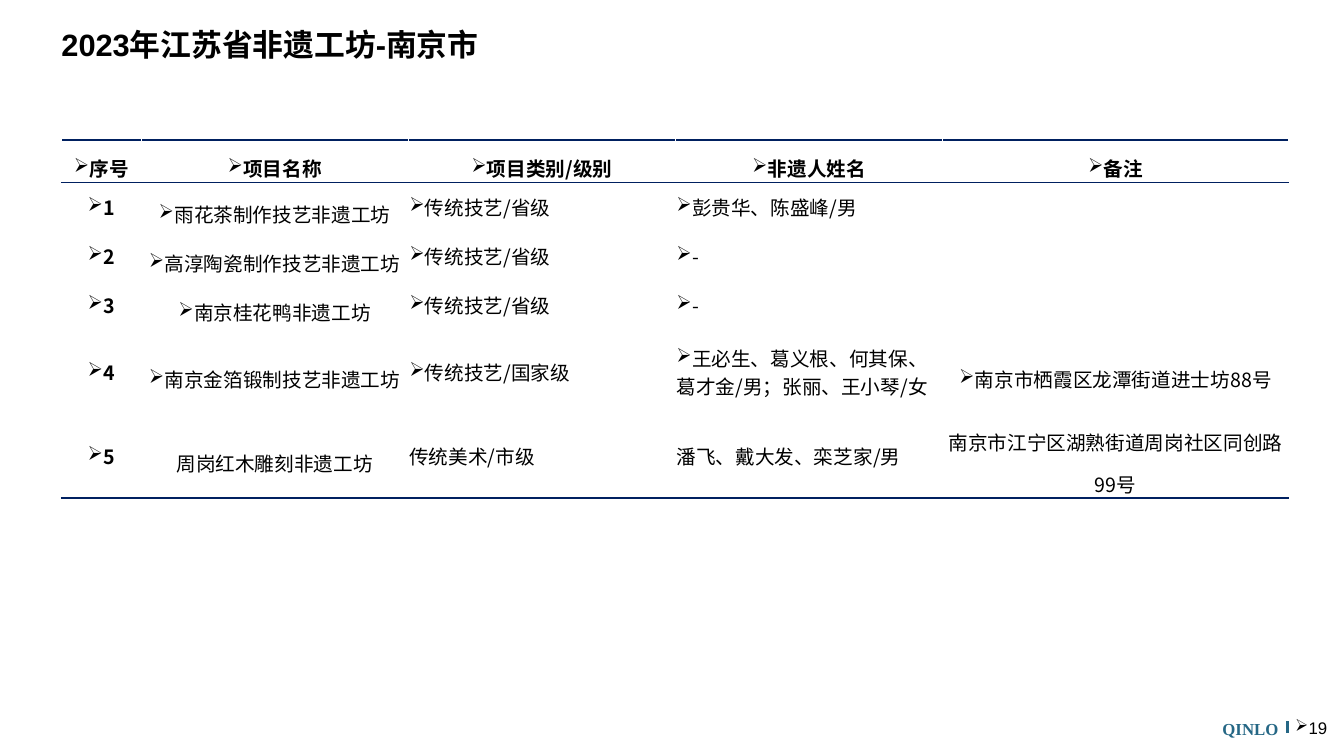
from dataclasses import dataclass

from lxml.etree import SubElement
from pptx import Presentation
from pptx.dml.color import RGBColor
from pptx.enum.shapes import MSO_CONNECTOR
from pptx.enum.text import MSO_ANCHOR as Anchor, PP_ALIGN as Align
from pptx.oxml import parse_xml
from pptx.oxml.ns import nsdecls, qn
from pptx.util import Inches, Pt


@dataclass(frozen=True)
class Theme:
    text: str = "000000"
    paper: str = "FFFFFF"
    rule: str = "002060"
    accent: str = "256785"
    sans: str = "Arial"
    chinese: str = "Noto Sans CJK SC"
    serif: str = "Times New Roman"
    title_size: int = 22
    table_size: int = 14
    footer_size: int = 12
    bullet: str = "➢"


HEADERS = ["序号", "项目名称", "项目类别/级别", "非遗人姓名", "备注"]
WORKSHOPS = [
    ["1", "雨花茶制作技艺非遗工坊", "传统技艺/省级", "彭贵华、陈盛峰/男", ""],
    ["2", "高淳陶瓷制作技艺非遗工坊", "传统技艺/省级", "-", ""],
    ["3", "南京桂花鸭非遗工坊", "传统技艺/省级", "-", ""],
    ["4", "南京金箔锻制技艺非遗工坊", "传统技艺/国家级",
     "王必生、葛义根、何其保、葛才金/男；张丽、王小琴/女",
     "南京市栖霞区龙潭街道进士坊88号"],
    ["5", "周岗红木雕刻非遗工坊", "传统美术/市级", "潘飞、戴大发、栾芝家/男",
     "南京市江宁区湖熟街道周岗社区同创路99号"],
]
COLUMN_WIDTHS = [0.79, 2.65, 2.65, 2.65, 3.43]
ROW_HEIGHTS = [0.37, 0.49, 0.49, 0.49, 0.44, 0.44]
NUMBER, NAME, CATEGORY, PEOPLE, NOTE = range(5)


class SlideBuilder:
    def __init__(self, slide, theme):
        self.slide = slide
        self.theme = theme

    def style(self, paragraph, size, font=None, color=None, bold=False,
              align=Align.LEFT, spacing=None, bullet=False):
        paragraph.alignment = align
        if spacing:
            paragraph.line_spacing = spacing
        if bullet:
            properties = paragraph._p.get_or_add_pPr()
            properties.set("marL", "0")
            properties.set("indent", "0")
            SubElement(properties, qn("a:buChar")).set("char", self.theme.bullet)
        paragraph.font.size = Pt(size)
        paragraph.font.bold = bold
        paragraph.font.color.rgb = RGBColor.from_string(color or self.theme.text)
        paragraph.font.name = font or self.theme.sans
        defaults = paragraph._p.pPr.find(qn("a:defRPr"))
        SubElement(defaults, qn("a:ea")).set("typeface", self.theme.chinese)

    def text(self, box, content, size, insets=(0, 0), anchor=Anchor.TOP, **style):
        frame = self.slide.shapes.add_textbox(*map(Inches, box)).text_frame
        frame.word_wrap = True
        frame.vertical_anchor = anchor
        frame.margin_left = frame.margin_right = Inches(insets[0])
        frame.margin_top = frame.margin_bottom = Inches(insets[1])
        frame.text = content
        self.style(frame.paragraphs[0], size, **style)

    def line(self, start, end, color, width):
        connector = self.slide.shapes.add_connector(
            MSO_CONNECTOR.STRAIGHT, *map(Inches, start + end))
        connector.line.color.rgb = RGBColor.from_string(color)
        connector.line.width = Pt(width)
        SubElement(connector._element.spPr, qn("a:effectLst"))

    def borders(self, cell, edges):
        """Draw edges, given as (side, colour, points) in the order L, R, T, B."""
        properties = cell._tc.get_or_add_tcPr()
        for index, (side, color, points) in enumerate(edges):
            properties.insert(index, parse_xml(
                f'<a:ln{side} {nsdecls("a")} w="{Pt(points)}"><a:solidFill>'
                f'<a:srgbClr val="{color}"/></a:solidFill></a:ln{side}>'))

    def cell(self, cell, content, edges, **style):
        cell.fill.solid()
        cell.fill.fore_color.rgb = RGBColor.from_string(self.theme.paper)
        self.borders(cell, edges)
        cell.vertical_anchor = Anchor.MIDDLE
        cell.margin_left = cell.margin_right = Inches(0.01)
        cell.margin_top = cell.margin_bottom = 0
        cell.text = content
        self.style(cell.text_frame.paragraphs[0], self.theme.table_size, **style)

    def cell_edges(self, row, column, last_row, last_column):
        thin = (self.theme.paper, 1)
        heavy = (self.theme.rule, 1.5)
        header = (self.theme.rule, 0.5)
        top = {0: heavy, 1: header}.get(row, thin)
        bottom = {0: header, last_row: heavy}.get(row, thin)
        edges = [("L", *thin)] if column > 0 else []
        if column < last_column:
            edges.append(("R", *thin))
        return edges + [("T", *top), ("B", *bottom)]

    def workshop_table(self, left, top, rows):
        table = self.slide.shapes.add_table(
            len(rows), len(COLUMN_WIDTHS), Inches(left), Inches(top),
            Inches(sum(COLUMN_WIDTHS)), Inches(sum(ROW_HEIGHTS))).table
        table.first_row = table.horz_banding = False
        for column, width in zip(table.columns, COLUMN_WIDTHS):
            column.width = Inches(width)
        for row, height in zip(table.rows, ROW_HEIGHTS):
            row.height = Inches(height)

        last_row, last_column = len(rows) - 1, len(COLUMN_WIDTHS) - 1
        for row, values in enumerate(rows):
            for column, value in enumerate(values):
                is_header = row == 0
                centered = is_header or column in (NUMBER, NAME, NOTE)
                tall = is_header or column in (NAME, NOTE)
                is_name = column == NAME and not is_header
                self.cell(
                    table.cell(row, column), value,
                    self.cell_edges(row, column, last_row, last_column),
                    font=self.theme.sans if is_name else self.theme.chinese,
                    bold=is_header or column == NUMBER,
                    align=Align.CENTER if centered else Align.LEFT,
                    spacing=Pt(30 if tall else 20),
                    bullet=bool(value) and (row < last_row or column == NUMBER))


def main():
    presentation = Presentation()
    presentation.slide_width = Inches(13.33)
    presentation.slide_height = Inches(7.5)
    theme = Theme()
    builder = SlideBuilder(
        presentation.slides.add_slide(presentation.slide_layouts[6]), theme)

    builder.text((10.91, 7.04, 1.81, 0.32), "QINLO", theme.footer_size,
                 insets=(0.04, 0.05), font=theme.serif, color=theme.accent,
                 bold=True, align=Align.RIGHT, spacing=1.2)
    builder.line((12.77, 7.27), (12.77, 7.15), theme.accent, 2.25)
    builder.text((12.81, 7.12, 0.39, 0.2), "19", theme.footer_size,
                 anchor=Anchor.MIDDLE, align=Align.CENTER, bullet=True)
    builder.text((0.61, 0.29, 12.11, 0.79), "2023年江苏省非遗工坊-南京市",
                 theme.title_size, bold=True, spacing=0.93)
    builder.workshop_table(0.61, 1.39, [HEADERS] + WORKSHOPS)
    presentation.save("out.pptx")


if __name__ == "__main__":
    main()
